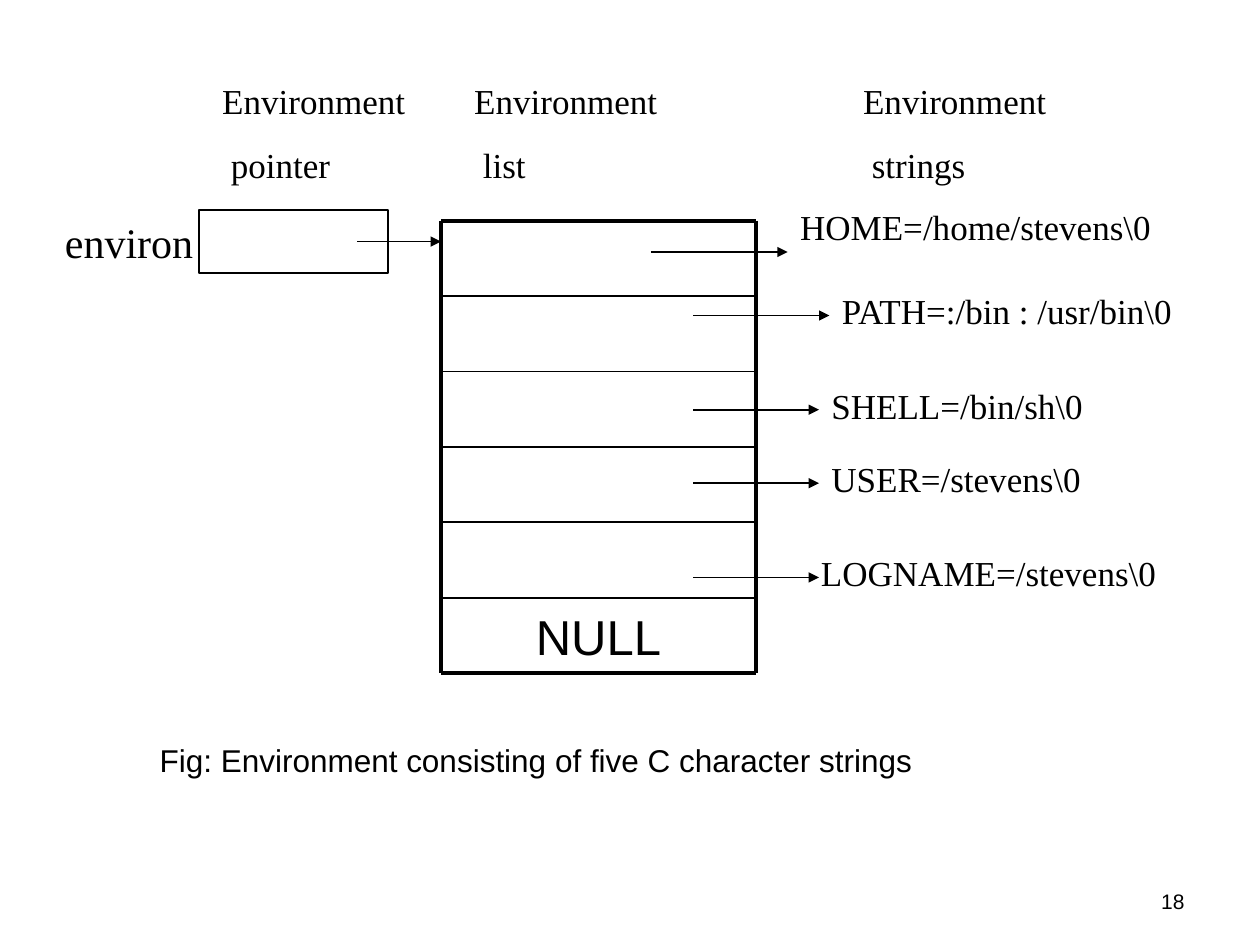
from dataclasses import dataclass

from lxml.etree import SubElement
from pptx import Presentation
from pptx.dml.color import RGBColor
from pptx.enum.shapes import MSO_CONNECTOR as Connector, MSO_SHAPE as Shape
from pptx.enum.text import MSO_ANCHOR as Anchor, PP_ALIGN as Align
from pptx.oxml.ns import qn
from pptx.util import Cm, Pt

SERIF = "Times New Roman"
SANS = "Arial"
BLACK = "000000"
THIN = 1
THICK = 2.25

LIST_LEFT, LIST_TOP = 8.89, 4.45
LIST_WIDTH, ROW_HEIGHT, ROW_COUNT = 6.35, 1.52, 6
LIST_RIGHT = LIST_LEFT + LIST_WIDTH
LIST_BOTTOM = LIST_TOP + ROW_COUNT * ROW_HEIGHT


@dataclass
class Heading:
    left: float
    second_line: str


@dataclass
class EnvironmentString:
    text: str
    left: float
    top: float
    arrow_start: float = 13.97
    arrow_end: float = 16.51
    arrow_drop: float = 0.64


HEADINGS = [
    Heading(4.23, " pointer"),
    Heading(9.31, " list"),
    Heading(17.15, " strings"),
]

STRINGS = [
    EnvironmentString("HOME=/home/stevens\\0", 15.88, 4.02, 13.12, 15.88, 1.06),
    EnvironmentString("PATH=:/bin : /usr/bin\\0", 16.72, 5.72, arrow_end=16.72),
    EnvironmentString("SHELL=/bin/sh\\0", 16.51, 7.62),
    EnvironmentString("USER=/stevens\\0", 16.51, 9.1),
    EnvironmentString("LOGNAME=/stevens\\0", 16.3, 11),
]


def color(value: str) -> RGBColor:
    return RGBColor.from_string(value)


def add_text(slide, text: str, left: float, top: float, width: float, height: float,
             *, size: float = 20, font: str = SERIF, before: float = 12.5,
             align=Align.LEFT, anchor=Anchor.TOP) -> None:
    frame = slide.shapes.add_textbox(Cm(left), Cm(top), Cm(width), Cm(height)).text_frame
    frame.word_wrap = True
    frame.vertical_anchor = anchor
    frame.text = text
    for paragraph in frame.paragraphs:
        paragraph.alignment = align
        paragraph.space_before = Pt(before)
        for run in paragraph.runs:
            run.font.size = Pt(size)
            run.font.name = font
            run.font.color.rgb = color(BLACK)


def add_line(slide, x1: float, y1: float, x2: float, y2: float,
             *, weight: float = THIN, arrow: bool = False) -> None:
    connector = slide.shapes.add_connector(
        Connector.STRAIGHT, Cm(x1), Cm(y1), Cm(x2), Cm(y2))
    connector.line.width = Pt(weight)
    connector.line.color.rgb = color(BLACK)
    if arrow:
        SubElement(connector.line._get_or_add_ln(), qn("a:tailEnd"), type="triangle")
    SubElement(connector._element.spPr, qn("a:effectLst"))


def add_pointer(slide) -> None:
    add_text(slide, "environ", 1.06, 4.23, 3.39, 1.27, size=24, before=15)
    box = slide.shapes.add_shape(Shape.RECTANGLE, Cm(4.02), Cm(4.23), Cm(3.81), Cm(1.27))
    box.shadow.inherit = False
    box.fill.background()
    box.line.width = Pt(THIN)
    box.line.color.rgb = color(BLACK)
    add_line(slide, 7.2, 4.87, LIST_LEFT, 4.87, arrow=True)


def add_list(slide) -> None:
    add_text(slide, "NULL", LIST_LEFT, LIST_BOTTOM - ROW_HEIGHT, LIST_WIDTH, ROW_HEIGHT,
             size=28, font=SANS, before=7, align=Align.CENTER, anchor=Anchor.MIDDLE)
    for row in range(ROW_COUNT + 1):
        y = LIST_TOP + row * ROW_HEIGHT
        weight = THICK if row in (0, ROW_COUNT) else THIN
        add_line(slide, LIST_LEFT, y, LIST_RIGHT, y, weight=weight)
    for x in (LIST_LEFT, LIST_RIGHT):
        add_line(slide, x, LIST_TOP, x, LIST_BOTTOM, weight=THICK)


def main() -> None:
    presentation = Presentation()
    presentation.slide_width = Cm(25.4)
    presentation.slide_height = Cm(19.05)
    slide = presentation.slides.add_slide(presentation.slide_layouts[6])

    for heading in HEADINGS:
        add_text(slide, "Environment \n" + heading.second_line, heading.left, 1.48, 5.29, 2.39)
    add_pointer(slide)
    add_list(slide)
    for entry in STRINGS:
        add_text(slide, entry.text, entry.left, entry.top, 8.05, 1.11)
        y = entry.top + entry.arrow_drop
        add_line(slide, entry.arrow_start, y, entry.arrow_end, y, arrow=True)
    add_text(slide, "Fig: Environment consisting of five C character strings",
             2.97, 14.82, 17.15, 1.02, size=18, font=SANS, before=11.2)
    add_text(slide, "18", 18.2, 17.65, 5.93, 1.02, size=12, font=SANS, before=0,
             align=Align.RIGHT, anchor=Anchor.MIDDLE)

    presentation.save("out.pptx")


main()
